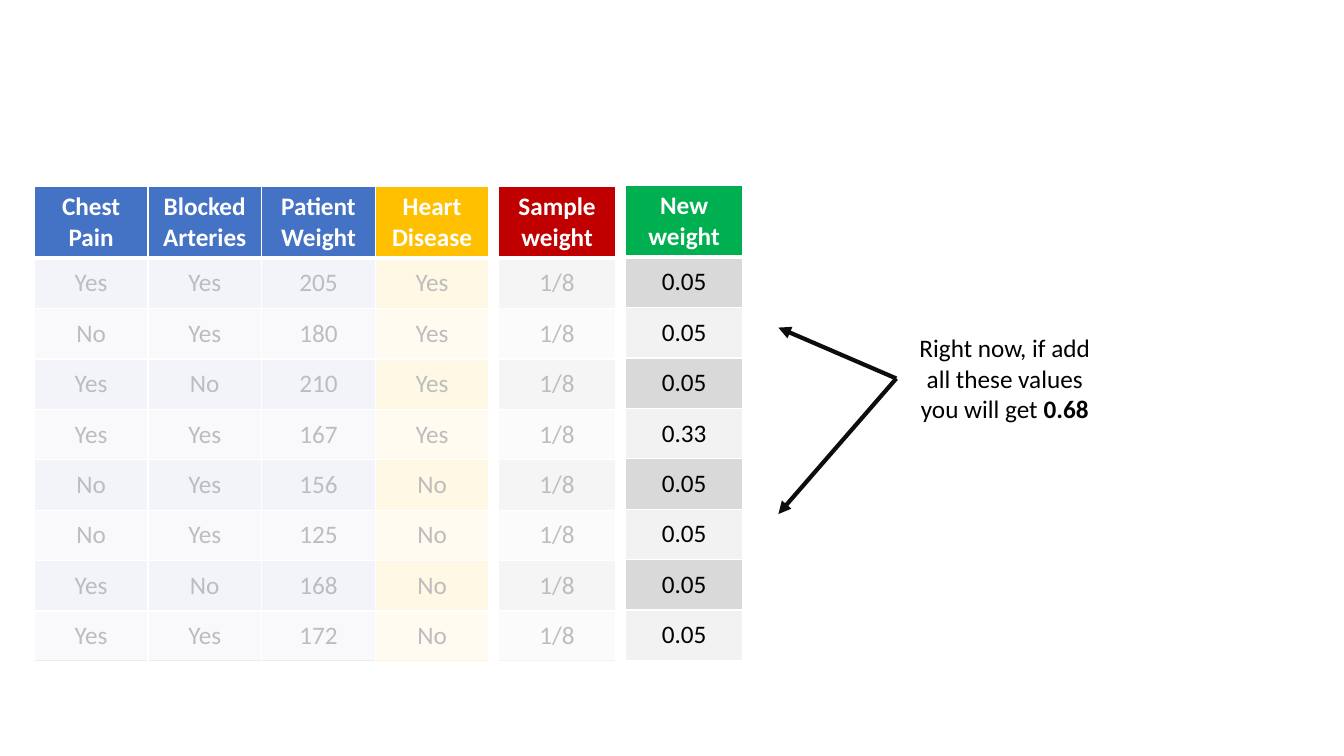
from dataclasses import dataclass

from lxml import etree
from pptx import Presentation
from pptx.dml.color import RGBColor
from pptx.enum.shapes import MSO_CONNECTOR, MSO_SHAPE
from pptx.enum.text import MSO_ANCHOR, PP_ALIGN
from pptx.oxml.ns import qn
from pptx.util import Inches, Pt

STRAIGHT, RECTANGLE = MSO_CONNECTOR.STRAIGHT, MSO_SHAPE.RECTANGLE
MIDDLE, CENTER = MSO_ANCHOR.MIDDLE, PP_ALIGN.CENTER
LEFT_SIDE = 1


@dataclass(frozen=True)
class Theme:
    """Colours, font and sizes of the slide."""
    font: str = "Calibri"
    size: int = 18
    white: str = "FFFFFF"
    black: str = "000000"
    arrow: str = "0D0D0D"
    blue: str = "4472C4"
    gold: str = "FFC000"
    red: str = "C00000"
    green: str = "00B050"
    blue_bands: tuple = ("CFD5EA", "E9EBF5")
    gold_bands: tuple = ("FFE699", "FFF2CC")
    grey_bands: tuple = ("D9D9D9", "F2F2F2")
    thin: int = 1
    thick: int = 3
    veil_alpha: int = 74


T = Theme()
HEADER_H, ROW_H = 0.69, 0.5

PATIENT_COLUMNS = [
    ("Chest Pain", T.blue, T.blue_bands, "Yes No Yes Yes No No Yes Yes".split()),
    ("Blocked\nArteries", T.blue, T.blue_bands, "Yes Yes No Yes Yes Yes No Yes".split()),
    ("Patient Weight", T.blue, T.blue_bands, "205 180 210 167 156 125 168 172".split()),
    ("Heart Disease", T.gold, T.gold_bands, "Yes Yes Yes Yes No No No No".split()),
]
SAMPLE_COLUMNS = [("Sample weight", T.red, T.grey_bands, ["1/8"] * 8)]
NEW_COLUMNS = [("New weight", T.green, T.grey_bands,
                ["0.05"] * 3 + ["0.33"] + ["0.05"] * 4)]


def rgb(color):
    """Return the colour object of a hex string."""
    return RGBColor.from_string(color)


def style_text(tf, color, bold=None):
    """Centre the paragraphs and set their font."""
    for p in tf.paragraphs:
        p.alignment = CENTER
        p.font.name, p.font.size = T.font, Pt(T.size)
        p.font.bold, p.font.color.rgb = bold, rgb(color)


def add_borders(cell, top, bottom):
    """Draw white borders around a cell."""
    tc_pr = cell._tc.get_or_add_tcPr()
    for side, width in (("L", T.thin), ("R", T.thin), ("T", top), ("B", bottom)):
        ln = etree.SubElement(tc_pr, qn(f"a:ln{side}"), w=str(Pt(width)))
        fill = etree.SubElement(ln, qn("a:solidFill"))
        etree.SubElement(fill, qn("a:srgbClr"), val=T.white)


def fill_cell(cell, text, color, row):
    """Write one cell; row 0 is the header."""
    cell.text = text
    cell.vertical_anchor = MIDDLE
    add_borders(cell, T.thick if row == 1 else T.thin, T.thin if row else T.thick)
    cell.fill.solid()
    cell.fill.fore_color.rgb = rgb(color)
    style_text(cell.text_frame, T.black if row else T.white, not row)


def add_weight_table(s, x, y, width, columns):
    """Build a banded table from its columns."""
    n_rows = len(columns[0][3]) + 1
    height = HEADER_H + ROW_H * (n_rows - 1)
    table = s.shapes.add_table(n_rows, len(columns), Inches(x), Inches(y),
                               Inches(width), Inches(height)).table
    for i, row in enumerate(table.rows):
        row.height = Inches(ROW_H if i else HEADER_H)
    for j, (title, color, bands, values) in enumerate(columns):
        table.columns[j].width = Inches(width / len(columns))
        fill_cell(table.cell(0, j), title, color, 0)
        for i, value in enumerate(values, 1):
            fill_cell(table.cell(i, j), value, bands[(i - 1) % 2], i)


def add_veil(s, x, y, width, height):
    """Fade a region with a translucent white rectangle."""
    sp = s.shapes.add_shape(RECTANGLE, Inches(x), Inches(y), Inches(width), Inches(height))
    sp.shadow.inherit = False
    sp.line.fill.background()
    sp.fill.solid()
    sp.fill.fore_color.rgb = rgb(T.white)
    color = sp._element.spPr.find(qn("a:solidFill"))[0]
    etree.SubElement(color, qn("a:alpha"), val=str(T.veil_alpha * 1000))


def add_arrow(s, box, x, y):
    """Draw an arrow from the left side of a box to a point."""
    line = s.shapes.add_connector(STRAIGHT, box.left, box.top + box.height // 2,
                                  Inches(x), Inches(y))
    line.begin_connect(box, LEFT_SIDE)
    line.line.color.rgb = rgb(T.arrow)
    line.line.width = Pt(T.thick)
    etree.SubElement(line.line._get_or_add_ln(), qn("a:tailEnd"), type="triangle")
    etree.SubElement(line._element.spPr, qn("a:effectLst"))


def add_note(s, x, y, width, height):
    """Place the note and its two arrows to the new weights."""
    box = s.shapes.add_textbox(Inches(x), Inches(y), Inches(width), Inches(height))
    tf = box.text_frame
    tf.word_wrap = True
    p = tf.paragraphs[0]
    p.add_run().text = "Right now, if add all these values you will get "
    r = p.add_run()
    r.text, r.font.bold = "0.68", True
    style_text(tf, T.black)
    for target in (y, y + 1.85):
        add_arrow(s, box, x - 1.17, target)


def add_weights_slide(prs):
    """Compose the slide of sample weights and new weights."""
    s = prs.slides.add_slide(prs.slide_layouts[6])
    add_weight_table(s, 0.34, 1.85, 4.51, PATIENT_COLUMNS)
    add_weight_table(s, 4.94, 1.85, 1.17, SAMPLE_COLUMNS)
    add_weight_table(s, 6.2, 1.84, 1.17, NEW_COLUMNS)
    add_veil(s, 0.31, 2.55, 5.8, 4)
    add_note(s, 8.89, 3.25, 2.15, 1.01)


def main():
    """Create and save the presentation."""
    prs = Presentation()
    prs.slide_width, prs.slide_height = Inches(13.33), Inches(7.5)
    add_weights_slide(prs)
    prs.save("out.pptx")


if __name__ == "__main__":
    main()
